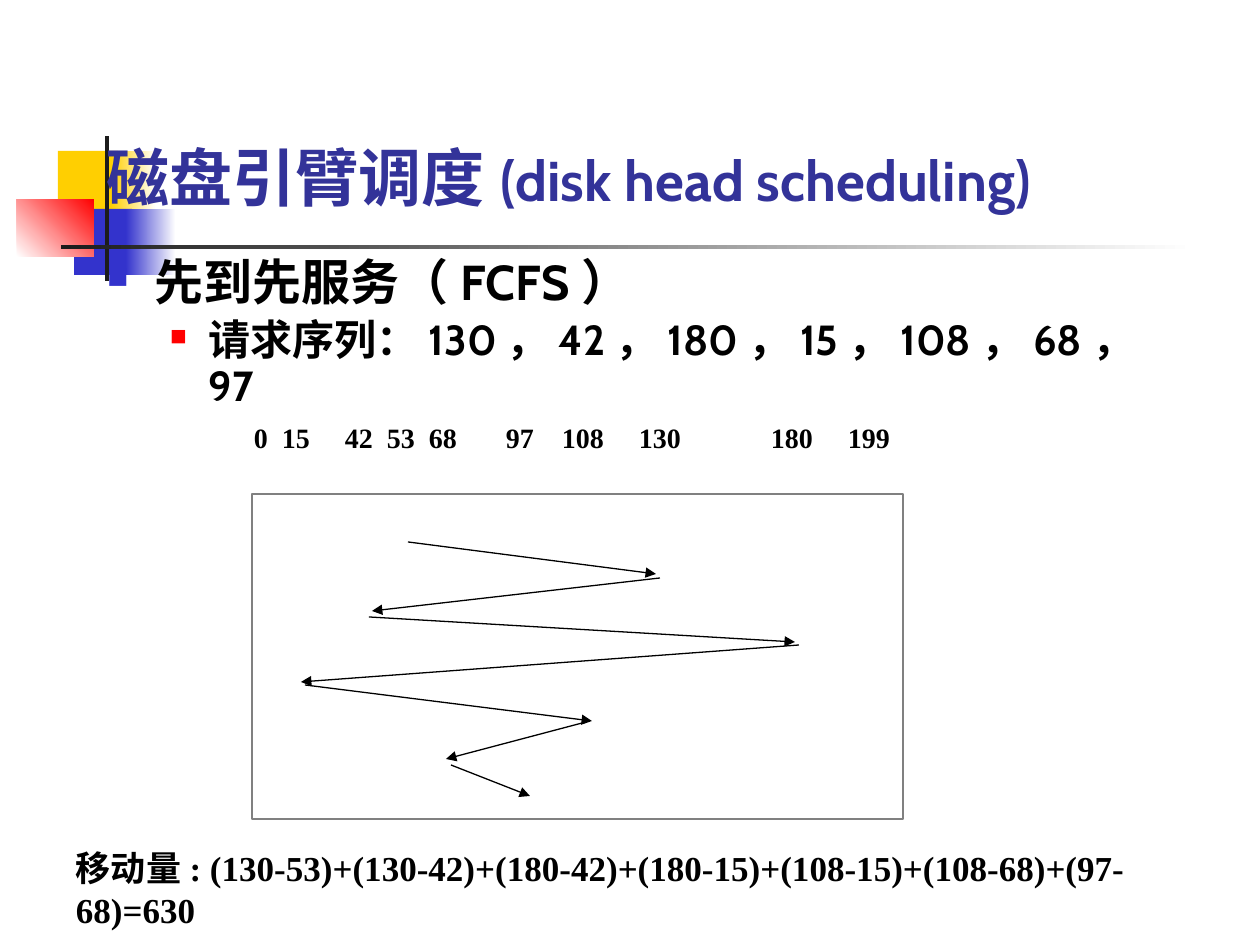
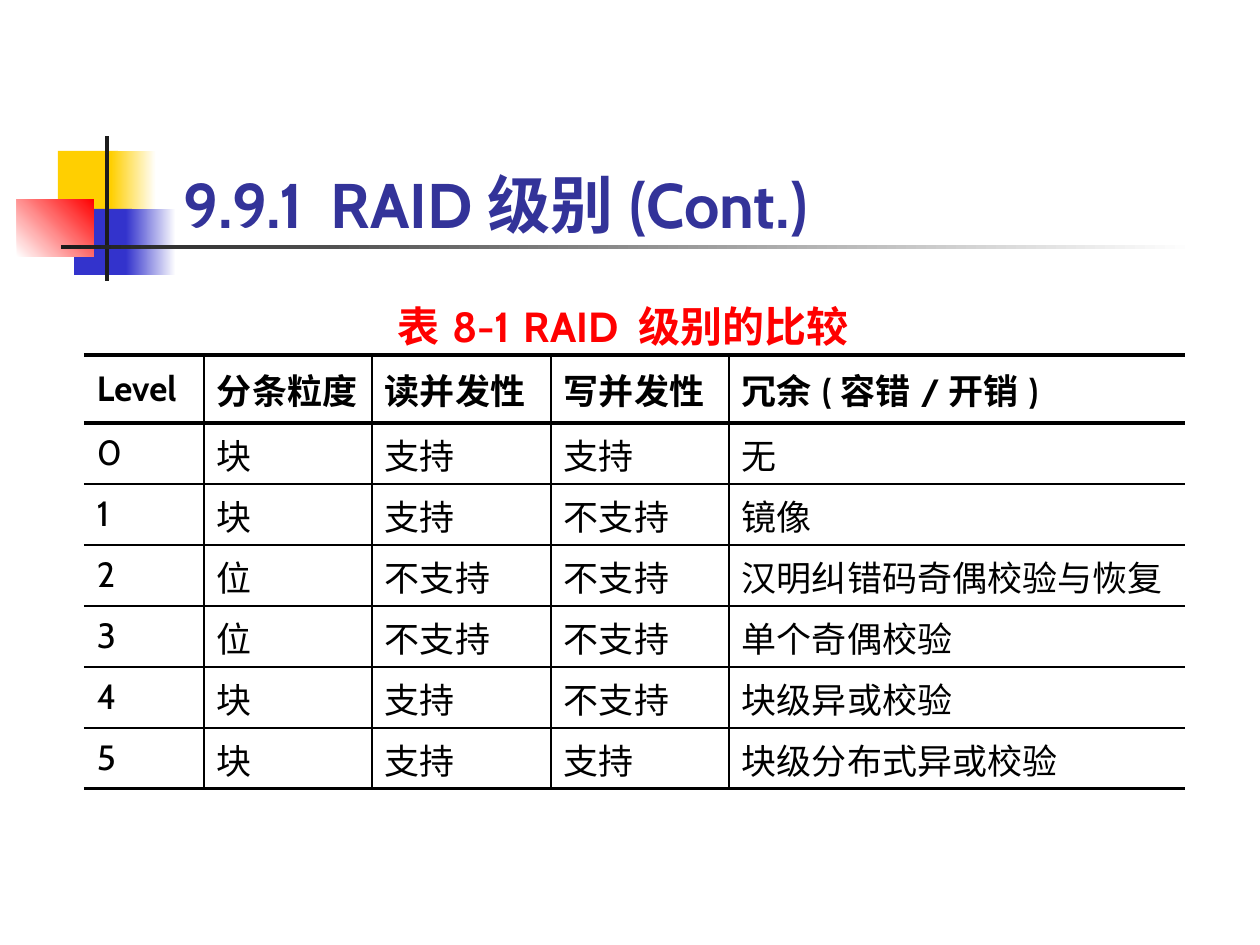
"""Build two slides on disk head scheduling and RAID levels."""
import dataclasses

import lxml.etree
import pptx
import pptx.dml.color
import pptx.enum.shapes
import pptx.enum.text
import pptx.oxml.ns
import pptx.util

PX = 7257
qn = pptx.oxml.ns.qn
SubElement = lxml.etree.SubElement
Anchor = pptx.enum.text.MSO_ANCHOR
Rectangle = pptx.enum.shapes.MSO_SHAPE.RECTANGLE


@dataclasses.dataclass(frozen=True)
class Theme:
    font: str = "Cabin"
    serif: str = "Times New Roman"
    title: str = "333399"
    text: str = "000000"
    yellow: str = "FFCF01"
    blue: str = "3333CC"
    red: str = "FF0000"
    bar: str = "1C1C1C"
    white: str = "FFFFFF"
    frame: str = "808080"
    title_size: int = 36
    subtitle_size: int = 32
    body_size: int = 28
    detail_size: int = 24
    table_size: int = 20
    label_size: int = 16
    thin: float = 0.75
    rule: float = 1
    heavy: float = 2.25


theme = Theme()
rgb = pptx.dml.color.RGBColor.from_string


def add_text_frame(slide, left, top, width, height, margins=(13, 6), anchor=Anchor.TOP):
    shape = slide.shapes.add_textbox(left * PX, top * PX, width * PX, height * PX)
    frame = shape.text_frame
    frame.word_wrap = True
    frame.vertical_anchor = anchor
    frame.margin_left = frame.margin_right = margins[0] * PX
    frame.margin_top = frame.margin_bottom = margins[1] * PX
    return frame


def write(paragraph, text, size, color=theme.text, font=theme.font, bold=True,
          indent=0, hanging=0, bullet=None, tabs=(), before=0, spacing=None):
    properties = paragraph._p.get_or_add_pPr()
    if indent:
        properties.set("marL", str(indent * PX))
        properties.set("indent", str(-hanging * PX))
    if bullet:
        bullet_color, percent = bullet
        holder = SubElement(properties, qn("a:buClr"))
        SubElement(holder, qn("a:srgbClr"), val=bullet_color)
        SubElement(properties, qn("a:buSzPct"), val=str(percent * 1000))
        SubElement(properties, qn("a:buChar"), char="■")
    if tabs:
        tab_list = SubElement(properties, qn("a:tabLst"))
        for position in tabs:
            SubElement(tab_list, qn("a:tab"), pos=str(position * PX), algn="l")
    if before:
        paragraph.space_before = pptx.util.Pt(before)
    if spacing:
        paragraph.line_spacing = spacing
    run = paragraph.add_run()
    run.text = text
    run.font.name = font
    run.font.size = pptx.util.Pt(size)
    run.font.bold = bold
    run.font.color.rgb = rgb(color)


presentation = pptx.Presentation()
presentation.slide_width = pptx.util.Inches(10)
presentation.slide_height = pptx.util.Inches(7.5)
blank = presentation.slide_layouts[6]
scheduling_slide, raid_slide = [presentation.slides.add_slide(blank) for _ in range(2)]

ornaments = [
    (58, 151, 60, 66, [theme.yellow], 0),
    (111, 151, 45, 66, [theme.yellow, theme.white], 0),
    (74, 209, 58, 66, [theme.blue], 0),
    (126, 209, 50, 66, [theme.blue, theme.white], 0),
    (17, 199, 77, 58, [theme.white, theme.red], 45),
    (105, 136, 4, 145, [theme.bar], 0),
    (61, 245, 1134, 4, [theme.bar, theme.white], 0),
]
for slide in presentation.slides:
    for left, top, width, height, colors, angle in ornaments:
        shape = slide.shapes.add_shape(Rectangle, left * PX, top * PX, width * PX, height * PX)
        shape.shadow.inherit = False
        shape.line.fill.background()
        if len(colors) == 1:
            shape.fill.solid()
            shape.fill.fore_color.rgb = rgb(colors[0])
        else:
            shape.fill.gradient()
            shape.fill.gradient_angle = angle
            for stop, color in zip(shape.fill.gradient_stops, colors):
                stop.color.rgb = rgb(color)

title = add_text_frame(scheduling_slide, 94, 63, 1071, 157, anchor=Anchor.BOTTOM).paragraphs[0]
write(title, "磁盘引臂调度", theme.title_size, theme.title)
write(title, "(disk head scheduling)", theme.subtitle_size, theme.title)

body = add_text_frame(scheduling_slide, 94, 252, 1071, 126)
write(body.paragraphs[0], "先到先服务（FCFS）", theme.body_size,
      indent=48, hanging=48, bullet=(theme.blue, 60), spacing=0.9)
write(body.add_paragraph(), "请求序列：130，42，180，15，108，68，97", theme.detail_size,
      indent=102, hanging=39, bullet=(theme.red, 55), before=5, spacing=0.9)

track_frame = scheduling_slide.shapes.add_shape(Rectangle, 252 * PX, 494 * PX, 651 * PX, 325 * PX)
track_frame.shadow.inherit = False
track_frame.fill.background()
track_frame.line.color.rgb = rgb(theme.frame)
track_frame.line.width = pptx.util.Pt(theme.thin)

tracks = [0, 15, 42, 53, 68, 97, 108, 130, 180, 199]
labels = add_text_frame(scheduling_slide, 252, 421, 649, 66, margins=(2, 0))
write(labels.paragraphs[0], "\t".join(map(str, tracks)), theme.label_size, font=theme.serif,
      tabs=(28, 91, 133, 175, 252, 308, 385, 517, 594))

head_moves = [
    (408, 542, 656, 574),
    (660, 578, 372, 611),
    (369, 617, 795, 642),
    (799, 645, 301, 682),
    (305, 685, 592, 721),
    (586, 722, 446, 759),
    (451, 765, 530, 796),
]
for move in head_moves:
    arrow = scheduling_slide.shapes.add_connector(
        pptx.enum.shapes.MSO_CONNECTOR.STRAIGHT, *[value * PX for value in move])
    arrow.line.color.rgb = rgb(theme.text)
    arrow.line.width = pptx.util.Pt(theme.thin)
    SubElement(arrow.line._get_or_add_ln(), qn("a:tailEnd"), type="triangle")
    SubElement(arrow._element.spPr, qn("a:effectLst"))

total = add_text_frame(scheduling_slide, 63, 840, 1187, 54)
write(total.paragraphs[0],
      "移动量: (130-53)+(130-42)+(180-42)+(180-15)+(108-15)+(108-68)+(97-68)=630",
      theme.table_size, font=theme.serif)

title = add_text_frame(raid_slide, 184, 164, 769, 77, margins=(0, 0), anchor=Anchor.BOTTOM)
write(title.paragraphs[0], "9.9.1\tRAID级别(Cont.)", theme.title_size, theme.title, tabs=(147,))

rows = [
    ["表8-1\tRAID 级别的比较", "", "", "", ""],
    ["Level", "分条粒度", "读并发性", "写并发性", "冗余(容错/开销)"],
    ["0", "块", "支持", "支持", "无"],
    ["1", "块", "支持", "不支持", "镜像"],
    ["2", "位", "不支持", "不支持", "汉明纠错码奇偶校验与恢复"],
    ["3", "位", "不支持", "不支持", "单个奇偶校验"],
    ["4", "块", "支持", "不支持", "块级异或校验"],
    ["5", "块", "支持", "支持", "块级分布式异或校验"],
]
column_widths = [120, 168, 179, 178, 456]
row_heights = [61, 68] + [61] * 6
row_rules = [0, theme.heavy, theme.heavy] + [theme.rule] * 5 + [theme.heavy]
column_rules = [0] + [theme.rule] * 4 + [0]

table = raid_slide.shapes.add_table(
    len(rows), len(column_widths), 84 * PX, 294 * PX,
    sum(column_widths) * PX, sum(row_heights) * PX).table
table.first_row = table.horz_banding = False
for column, width in zip(table.columns, column_widths):
    column.width = width * PX
for row, height in zip(table.rows, row_heights):
    row.height = height * PX
table.cell(0, 0).merge(table.cell(0, len(column_widths) - 1))

for row_index, texts in enumerate(rows):
    is_caption = row_index == 0
    for column_index, text in enumerate(texts):
        cell = table.cell(row_index, column_index)
        side_rules = [0, 0] if is_caption else column_rules[column_index:column_index + 2]
        edge_rules = side_rules + row_rules[row_index:row_index + 2]
        properties = cell._tc.get_or_add_tcPr()
        for edge, weight in zip(("lnL", "lnR", "lnT", "lnB"), edge_rules):
            border = SubElement(properties, qn("a:" + edge), w=str(pptx.util.Pt(weight)))
            if weight:
                fill = SubElement(border, qn("a:solidFill"))
                SubElement(fill, qn("a:srgbClr"), val=theme.text)
            else:
                SubElement(border, qn("a:noFill"))
        cell.fill.background()
        cell.margin_left = cell.margin_right = 0 if is_caption else 13 * PX
        cell.margin_top = 0 if is_caption else 6 * PX
        cell.margin_bottom = 6 * PX
        cell.vertical_anchor = Anchor.TOP if is_caption else Anchor.MIDDLE
        paragraph = cell.text_frame.paragraphs[0]
        if is_caption and text:
            write(paragraph, text, theme.detail_size, theme.red, indent=314, tabs=(464,))
        elif text:
            write(paragraph, text, theme.table_size, bold=row_index == 1)

presentation.save("out.pptx")
